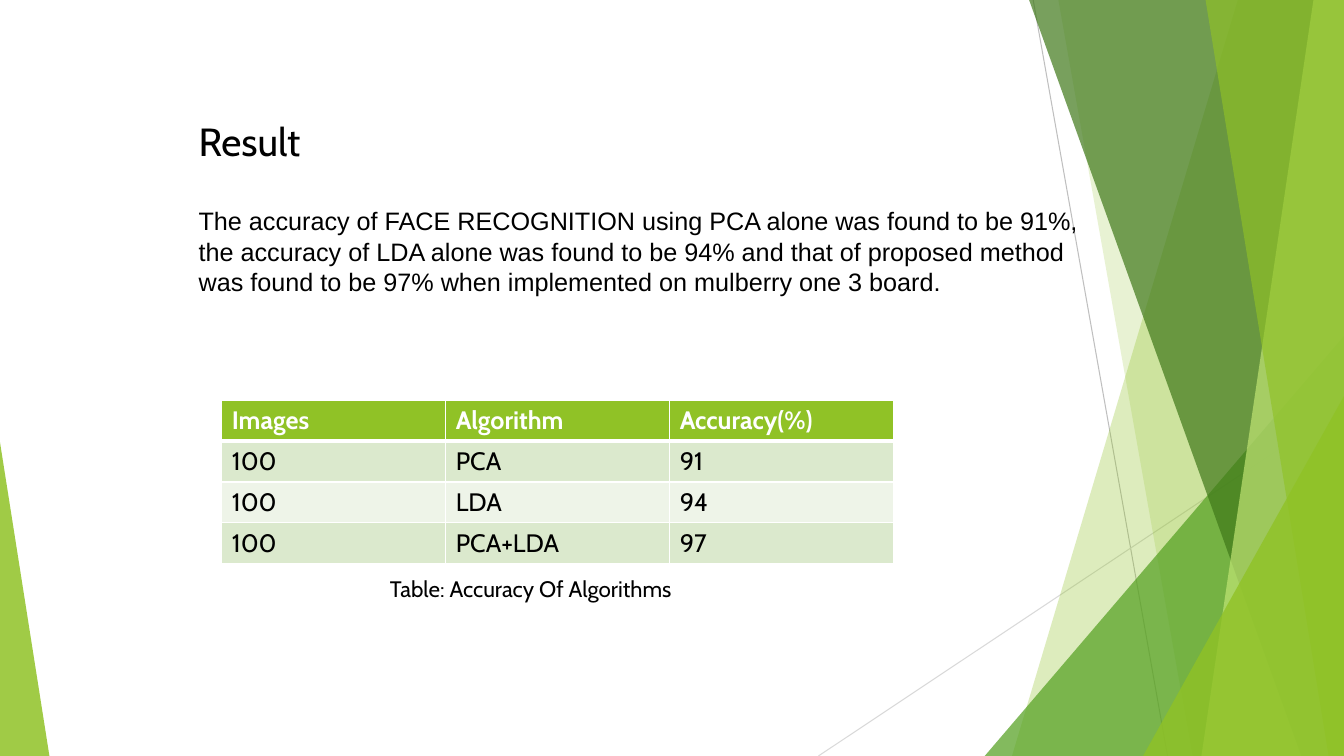
from dataclasses import dataclass

from lxml.etree import SubElement
from pptx import Presentation
from pptx.dml.color import RGBColor
from pptx.enum.shapes import MSO_CONNECTOR, MSO_SHAPE
from pptx.oxml.ns import qn
from pptx.util import Pt


@dataclass(frozen=True)
class Theme:
    """Colours and type sizes of the deck."""
    black: str = "000000"
    white: str = "FFFFFF"
    lime: str = "90C226"
    leaf: str = "54A021"
    forest: str = "3F7819"
    pale: str = "C0E474"
    band: str = "DBE9CD"
    light_band: str = "EEF4E8"
    dark_ray: str = "BFBFBF"
    light_ray: str = "D9D9D9"
    heading: str = "Cabin"
    body: str = "Arial"
    title_size: int = 28
    text_size: int = 18
    caption_size: int = 16


@dataclass(frozen=True)
class Box:
    """A rectangle in points."""
    left: float
    top: float
    width: float
    height: float

    def inside(self, left, top, width, height):
        """Return a box offset from this one's corner."""
        return Box(self.left + left, self.top + top, width, height)

    def lengths(self):
        """Return the four lengths for a python-pptx call."""
        return [Pt(v) for v in (self.left, self.top, self.width, self.height)]


THEME = Theme()
RESULTS = [
    ("Images", "Algorithm", "Accuracy(%)"),
    ("100", "PCA", "91"),
    ("100", "LDA", "94"),
    ("100", "PCA+LDA", "97"),
]
FINDING = (
    "The accuracy of FACE RECOGNITION using PCA alone was found to be 91%, "
    "the accuracy of LDA alone was found to be 94% and that of proposed method "
    "was found to be 97% when implemented on mulberry one 3 board."
)


def style_text(frame, text, colour, **formats):
    """Write text in a frame with the given font formats."""
    run = frame.paragraphs[0].add_run()
    run.text = text
    run.font.color.rgb = RGBColor.from_string(colour)
    for key, value in formats.items():
        setattr(run.font, key, value)


def tint(facet, colour, opacity):
    """Fill a facet with a see-through colour and no outline."""
    facet.shadow.inherit = False
    facet.line.fill.background()
    facet.fill.solid()
    facet.fill.fore_color.rgb = RGBColor.from_string(colour)
    shade = facet.fill._xPr.find(qn("a:solidFill"))[0]
    SubElement(shade, qn("a:alpha"), val=str(opacity * 1000))


def ray(slide, box, start, end, colour):
    """Draw a thin line between two points of the box."""
    ends = [Pt(v) for x, y in (start, end) for v in (box.left + x, box.top + y)]
    line = slide.shapes.add_connector(MSO_CONNECTOR.STRAIGHT, *ends)
    line.line.width = Pt(0.75)
    line.line.color.rgb = RGBColor.from_string(colour)
    SubElement(line._element.spPr, qn("a:effectLst"))


def pillar(slide, box, top_edge, bottom_edge, colour, opacity):
    """Fill the box from a slanted left edge to its right side."""
    right, bottom = box.left + box.width, box.top + box.height
    outline = slide.shapes.build_freeform(
        Pt(box.left + top_edge), Pt(box.top), scale=1.0)
    outline.add_line_segments([
        (Pt(right), Pt(box.top)),
        (Pt(right), Pt(bottom)),
        (Pt(box.left + bottom_edge), Pt(bottom)),
    ], close=True)
    tint(outline.convert_to_shape(), colour, opacity)


def wedge(slide, box, peak, colour, opacity):
    """Fill the box with a triangle whose peak is at a share of its width."""
    triangle = slide.shapes.add_shape(
        MSO_SHAPE.ISOSCELES_TRIANGLE, *box.lengths())
    triangle.adjustments[0] = peak
    tint(triangle, colour, opacity)


def right_facets(slide, box):
    """Layer the rays, pillars and wedges of the right side."""
    ray(slide, box, (158, 0), (254, 540), THEME.dark_ray)
    ray(slide, box, (380, 290), (4.6, 540), THEME.light_ray)
    pillar(slide, box, 304.2, 142.9, THEME.lime, 30)
    pillar(slide, box, 176, 271.8, THEME.lime, 20)
    wedge(slide, box.inside(123.4, 240, 256.6, 300), 1, THEME.leaf, 72)
    pillar(slide, box, 155.1, 349.5, THEME.forest, 70)
    pillar(slide, box, 358.2, 278.2, THEME.pale, 70)
    pillar(slide, box, 281.1, 369, THEME.lime, 65)
    wedge(slide, box.inside(236.5, 283, 143.5, 257), 1, THEME.lime, 80)


def text_block(slide, box, text, font, size):
    """Place a black text block in the box."""
    frame = slide.shapes.add_textbox(*box.lengths()).text_frame
    frame.word_wrap = True
    style_text(frame, text, THEME.black, name=font, size=Pt(size))


def rule_cell(cell, bottom_width):
    """Give a cell white borders."""
    properties = cell._tc.get_or_add_tcPr()
    for side, width in {"L": 1, "R": 1, "T": 1, "B": bottom_width}.items():
        border = SubElement(properties, qn(f"a:ln{side}"), w=str(Pt(width)))
        fill = SubElement(border, qn("a:solidFill"))
        SubElement(fill, qn("a:srgbClr"), val=THEME.white)


def results_table(slide, box, rows):
    """Fill the box with a header row and banded result rows."""
    table = slide.shapes.add_table(
        len(rows), len(rows[0]), *box.lengths()).table
    for row in table.rows:
        row.height = Pt(box.height / len(rows))
    for row_index, row in enumerate(rows):
        header = row_index == 0
        band = THEME.band if row_index % 2 else THEME.light_band
        for column_index, value in enumerate(row):
            cell = table.cell(row_index, column_index)
            rule_cell(cell, 3 if header else 1)
            cell.fill.solid()
            cell.fill.fore_color.rgb = RGBColor.from_string(
                THEME.lime if header else band)
            style_text(cell.text_frame, value,
                       THEME.white if header else THEME.black,
                       name=THEME.heading, size=Pt(THEME.text_size), bold=header)


def result_slide(deck, box):
    """Build the result slide in the box."""
    slide = deck.slides.add_slide(deck.slide_layouts[6])
    right_facets(slide, box.inside(580, 0, 380, 540))
    wedge(slide, box.inside(0, 316, 35.3, 224), 0, THEME.lime, 85)
    text_block(slide, box.inside(134.8, 143.3, 657.4, 94.3),
               FINDING, THEME.body, THEME.text_size)
    text_block(slide, box.inside(134.8, 80.6, 91.4, 41),
               "Result", THEME.heading, THEME.title_size)
    results_table(slide, box.inside(158.4, 286, 480, 116.6), RESULTS)
    text_block(slide, box.inside(271.4, 407.5, 236.2, 26.6),
               "Table: Accuracy Of Algorithms", THEME.heading, THEME.caption_size)


def main():
    """Build and save the deck."""
    deck = Presentation()
    deck.slide_width, deck.slide_height = Pt(960), Pt(540)
    result_slide(deck, Box(0, 0, 960, 540))
    deck.save("out.pptx")


if __name__ == "__main__":
    main()
